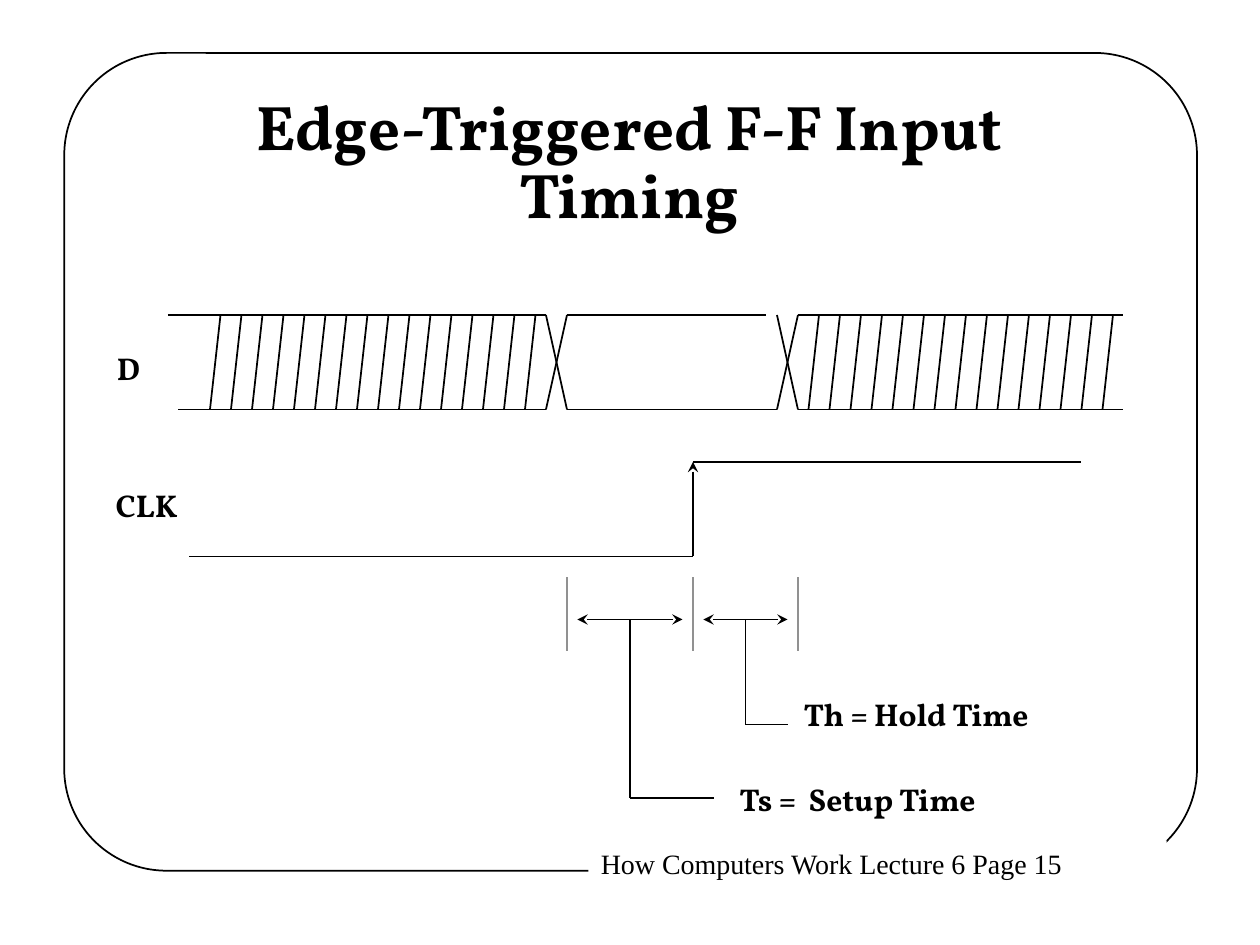
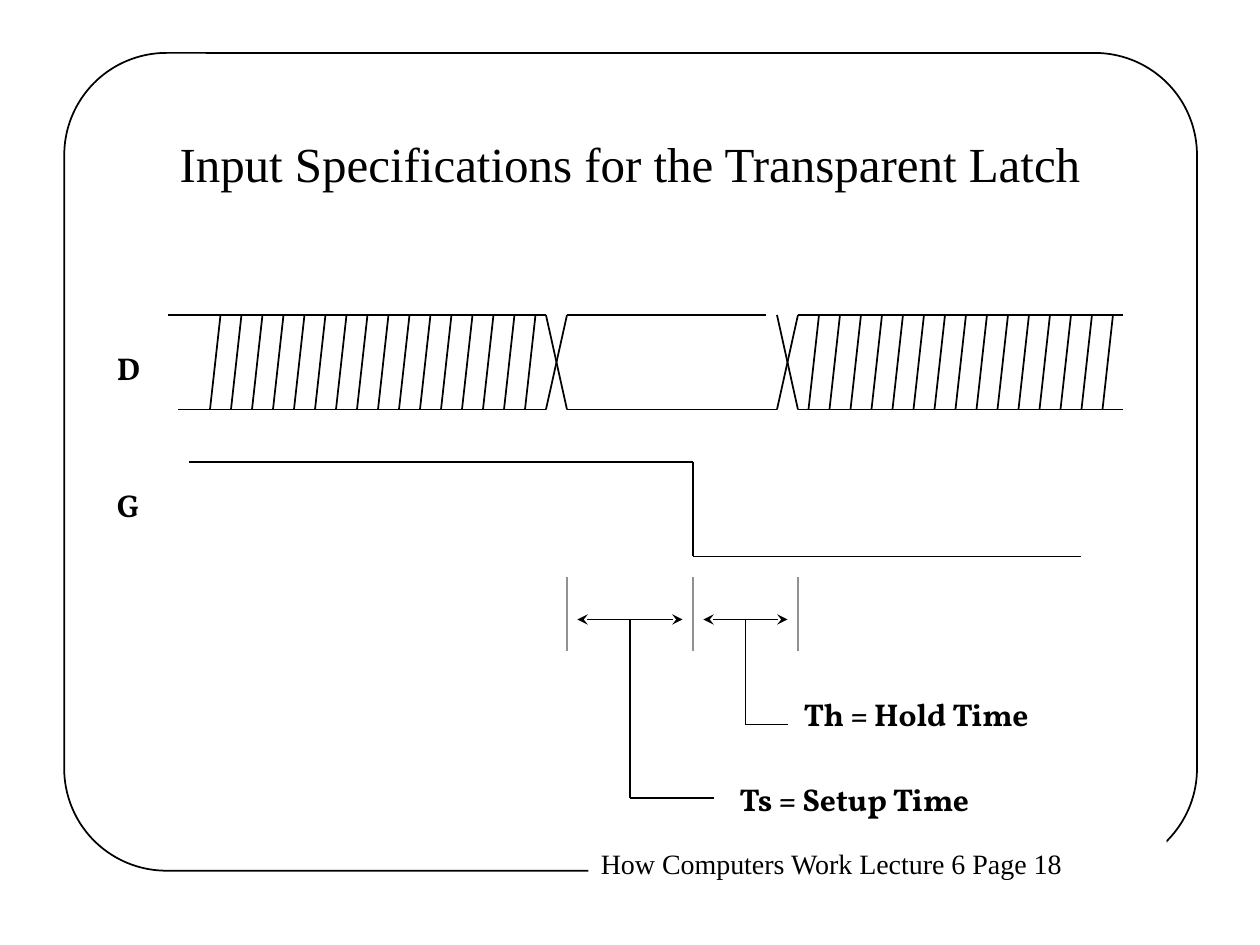
from dataclasses import dataclass

from lxml import etree
from pptx import Presentation
from pptx.dml.color import RGBColor
from pptx.enum.shapes import MSO_CONNECTOR, MSO_SHAPE
from pptx.enum.text import MSO_ANCHOR, MSO_AUTO_SIZE, PP_ALIGN
from pptx.oxml.ns import qn
from pptx.util import Inches, Pt

STRAIGHT = MSO_CONNECTOR.STRAIGHT
ROUND_RECT = MSO_SHAPE.ROUNDED_RECTANGLE
MIDDLE, TOP = MSO_ANCHOR.MIDDLE, MSO_ANCHOR.TOP
FIT_SHAPE, NO_FIT = MSO_AUTO_SIZE.SHAPE_TO_FIT_TEXT, MSO_AUTO_SIZE.NONE
CENTER, LEFT = PP_ALIGN.CENTER, PP_ALIGN.LEFT

BLACK, GREY, WHITE = "000000", "919191", "FFFFFF"
SERIF, DISPLAY = "Times New Roman", "Vollkorn"

# The diagrams sit on a grid of 12 cells to the inch.
CELL = Inches(1) / 12
COLUMNS, ROWS = 120, 90

DATA_HIGH, DATA_LOW = 30, 39
CLOCK_HIGH, CLOCK_LOW = 44, 53
CLOCK_START, CLOCK_EDGE, CLOCK_END = 18, 66, 103
STABLE_START, STABLE_END = 54, 76
CROSSING = 2
TICK_TOP, ARROW_ROW, TICK_BOTTOM = 55, 59, 62


@dataclass(frozen=True)
class Line:
    """A straight line in grid cells."""
    x1: float
    y1: float
    x2: float
    y2: float
    color: str = BLACK
    head: bool = False
    tail: bool = False


@dataclass(frozen=True)
class Style:
    font: str
    size: int
    bold: bool = False


@dataclass(frozen=True)
class Label:
    """A one-line text, placed in inches."""
    text: str
    left: float
    top: float
    width: float


@dataclass(frozen=True)
class Hatch:
    """Slanted strokes marking where data may change."""
    start: int
    count: int


@dataclass(frozen=True)
class Interval:
    """A double arrow with an elbow leading to its label."""
    start: int
    end: int
    stem: int
    elbow_row: int
    elbow_end: int


@dataclass(frozen=True)
class TimingSlide:
    title: str
    title_style: Style
    title_box: tuple[float, float, float, float]
    title_spacing: float
    page: int
    clock: Label
    setup: Label
    rising: bool


LABEL_STYLE = Style(DISPLAY, 18, True)
FOOTER_STYLE = Style(SERIF, 16)
HATCHES = (Hatch(20, 16), Hatch(77, 15))
INTERVALS = (Interval(55, 65, 60, 76, 68), Interval(67, 75, 71, 69, 75))
DATA_LABEL = Label("D", 0.83, 2.72, 0.39)
HOLD_LABEL = Label("Th = Hold Time", 6.28, 5.47, 2.12)

SLIDES = (
    TimingSlide("Edge-Triggered F-F Input Timing", Style(DISPLAY, 36, True),
                (1.08, 0.67, 7.83, 1.26), 0.9, 15,
                Label("CLK", 0.82, 3.81, 0.72),
                Label("Ts =  Setup Time", 5.77, 6.14, 2.25), True),
    TimingSlide("Input Specifications for the Transparent Latch", Style(SERIF, 28),
                (0.75, 0.67, 8.5, 1.25), 1.0, 18,
                Label("G", 0.83, 3.81, 0.39),
                Label("Ts = Setup Time", 5.77, 6.14, 2.18), False),
)


def rgb(color: str) -> RGBColor:
    return RGBColor.from_string(color)


def set_text(sp, text: str, style: Style, align=LEFT, anchor=TOP) -> None:
    tf = sp.text_frame
    tf.text = text
    tf.vertical_anchor = anchor
    p = tf.paragraphs[0]
    p.alignment = align
    font = p.runs[0].font
    font.name, font.size, font.bold = style.font, Pt(style.size), style.bold
    font.color.rgb = rgb(BLACK)


def add_label(slide, label: Label, style: Style = LABEL_STYLE, height: float = 0.4):
    sp = slide.shapes.add_textbox(Inches(label.left), Inches(label.top),
                                  Inches(label.width), Inches(height))
    set_text(sp, label.text, style)
    sp.text_frame.word_wrap = False
    sp.text_frame.auto_size = FIT_SHAPE
    return sp


def add_line(slide, line: Line) -> None:
    ends = (round(v * CELL) for v in (line.x1, line.y1, line.x2, line.y2))
    cxn = slide.shapes.add_connector(STRAIGHT, *ends)
    cxn.line.color.rgb = rgb(line.color)
    cxn.line.width = Pt(1)
    props = cxn._element.spPr
    for tag, wanted in (("a:headEnd", line.head), ("a:tailEnd", line.tail)):
        if wanted:
            etree.SubElement(props.find(qn("a:ln")), qn(tag), type="stealth")
    etree.SubElement(props, qn("a:effectLst"))


def add_frame(slide, page: int) -> None:
    """Rounded border, broken by the footer."""
    sp = slide.shapes.add_shape(ROUND_RECT, Inches(0.51), Inches(0.42),
                                Inches(8.99), Inches(6.49))
    sp.adjustments[0] = 0.125
    sp.shadow.inherit = False
    sp.fill.background()
    sp.line.color.rgb = rgb(BLACK)
    sp.line.width = Pt(1)
    footer = Label(f"How Computers Work Lecture 6 Page {page}", 4.67, 6.67, 4.59)
    sp = add_label(slide, footer, FOOTER_STYLE, 0.37)
    sp.fill.solid()
    sp.fill.fore_color.rgb = rgb(WHITE)


def set_title(slide, item: TimingSlide) -> None:
    sp = slide.shapes.title
    sp.left, sp.top, sp.width, sp.height = map(Inches, item.title_box)
    set_text(sp, item.title, item.title_style, CENTER, MIDDLE)
    sp.text_frame.word_wrap = True
    sp.text_frame.auto_size = NO_FIT
    sp.text_frame.paragraphs[0].line_spacing = item.title_spacing


def clock_lines(rising: bool) -> list[Line]:
    before, after = (CLOCK_LOW, CLOCK_HIGH) if rising else (CLOCK_HIGH, CLOCK_LOW)
    return [
        Line(CLOCK_START, before, CLOCK_EDGE, before),
        Line(CLOCK_EDGE, CLOCK_HIGH, CLOCK_EDGE, CLOCK_LOW, head=rising),
        Line(CLOCK_EDGE, after, CLOCK_END, after),
    ]


def data_lines() -> list[Line]:
    first, second = STABLE_START - CROSSING, STABLE_END - CROSSING
    rails = {
        DATA_HIGH: ((16, first), (STABLE_START, second - 1), (STABLE_END, 107)),
        DATA_LOW: ((17, first), (STABLE_START, second), (STABLE_END, 107)),
    }
    lines = [Line(x1, row, x2, row) for row, spans in rails.items() for x1, x2 in spans]
    for x in (first, second):
        lines += [Line(x, DATA_HIGH, x + CROSSING, DATA_LOW),
                  Line(x, DATA_LOW, x + CROSSING, DATA_HIGH)]
    for hatch in HATCHES:
        lines += [Line(hatch.start + 2 * i + 1, DATA_HIGH, hatch.start + 2 * i, DATA_LOW)
                  for i in range(hatch.count)]
    return lines


def interval_lines() -> list[Line]:
    lines = []
    for span in INTERVALS:
        lines += [
            Line(span.start, ARROW_ROW, span.end, ARROW_ROW, head=True, tail=True),
            Line(span.stem, ARROW_ROW, span.stem, span.elbow_row),
            Line(span.stem, span.elbow_row, span.elbow_end, span.elbow_row),
        ]
    lines += [Line(x, TICK_TOP, x, TICK_BOTTOM, GREY)
              for x in (STABLE_START, CLOCK_EDGE, STABLE_END)]
    return lines


def add_timing_slide(prs, item: TimingSlide) -> None:
    slide = prs.slides.add_slide(prs.slide_layouts.get_by_name("Title Only"))
    add_frame(slide, item.page)
    set_title(slide, item)
    for line in clock_lines(item.rising) + data_lines() + interval_lines():
        add_line(slide, line)
    for label in (DATA_LABEL, item.clock, item.setup, HOLD_LABEL):
        add_label(slide, label)


def main() -> None:
    prs = Presentation()
    prs.slide_width, prs.slide_height = round(COLUMNS * CELL), round(ROWS * CELL)
    for item in SLIDES:
        add_timing_slide(prs, item)
    prs.save("out.pptx")


if __name__ == "__main__":
    main()
